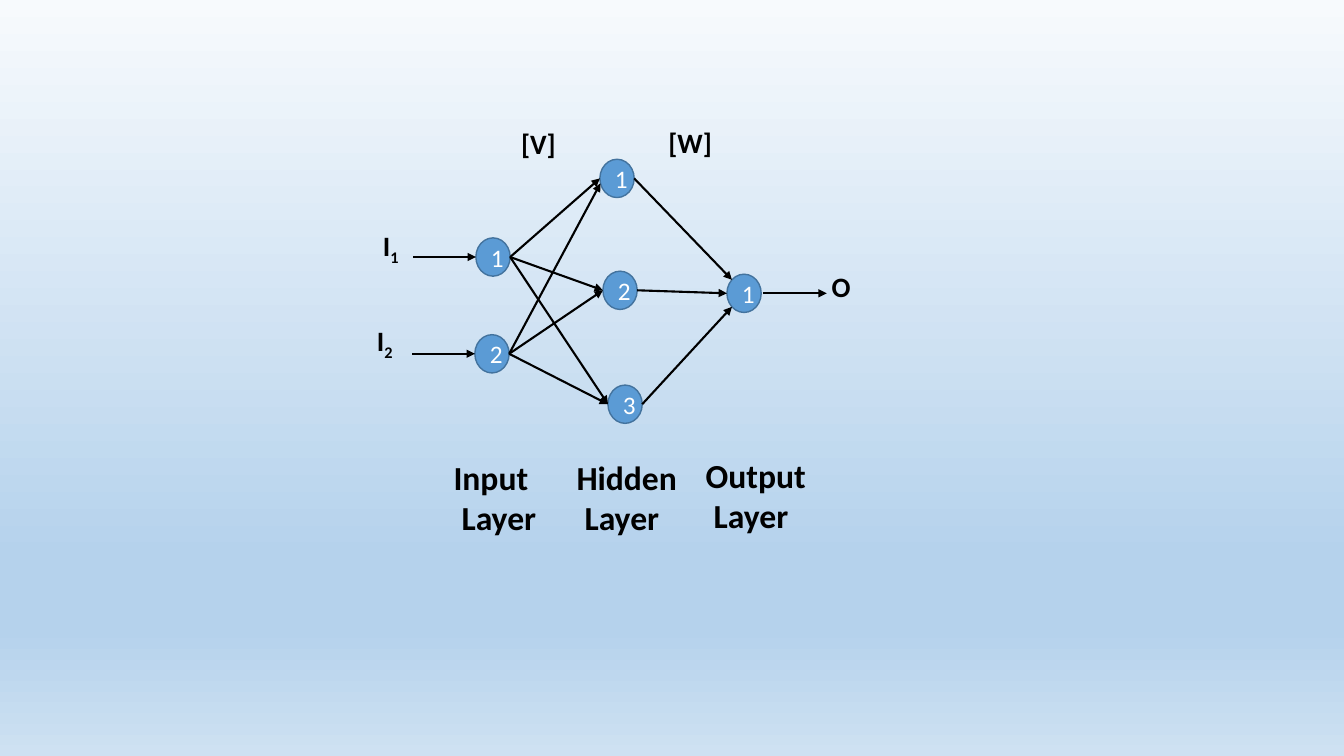
import dataclasses
import math

import lxml.etree
import pptx
import pptx.dml.color
import pptx.enum.shapes
import pptx.enum.text
import pptx.oxml.ns
import pptx.util

qn = pptx.oxml.ns.qn


@dataclasses.dataclass(frozen=True)
class Theme:
    font: str = "Calibri"
    ink: str = "000000"
    node_fill: str = "5B9BD5"
    node_line: str = "43739E"
    node_text: str = "FFFFFF"
    node_size: int = 18
    label_size: int = 20
    caption_size: int = 24
    arrow_width: float = 1.5
    background: tuple = ((0, "F7FAFD"), (74, "B5D2EC"), (83, "B5D2EC"), (100, "CEE1F2"))


def rgb(code):
    return pptx.dml.color.RGBColor.from_string(code)


@dataclasses.dataclass(frozen=True)
class Node:
    """A neuron: its left and top on the grid, and its number."""
    left: float
    top: float
    number: str
    width = 3.4
    height = 3.8

    def edge(self, degrees):
        """Point on the outline, measured clockwise from the right."""
        angle = math.radians(degrees)
        return (self.left + self.width / 2 * (1 + math.cos(angle)),
                self.top + self.height / 2 * (1 + math.sin(angle)))


class Diagram:
    """Draws on a grid of 75 rows, with columns as wide as the rows are high."""

    def __init__(self, presentation, theme):
        self.theme = theme
        self.cell = presentation.slide_height / 75
        self.slide = presentation.slides.add_slide(presentation.slide_layouts[6])
        self.shapes = self.slide.shapes.add_group_shape().shapes

    def grid(self, *lengths):
        return [round(length * self.cell) for length in lengths]

    def background(self):
        fill = self.slide.background.fill
        fill.gradient()
        fill.gradient_angle = 270
        stops = self.slide.element.find(".//" + qn("a:gsLst"))
        for stop in list(stops):
            stops.remove(stop)
        for percent, color in self.theme.background:
            stop = lxml.etree.SubElement(stops, qn("a:gs"), pos=str(percent * 1000))
            lxml.etree.SubElement(stop, qn("a:srgbClr"), val=color)

    def run(self, paragraph, text, size, color, bold=False):
        run = paragraph.add_run()
        run.text = text
        run.font.name = self.theme.font
        run.font.size = pptx.util.Pt(size)
        run.font.bold = bold
        run.font.color.rgb = rgb(color)
        return run

    def node(self, node):
        shape = self.shapes.add_shape(
            pptx.enum.shapes.MSO_SHAPE.OVAL,
            *self.grid(node.left, node.top, node.width, node.height))
        shape.shadow.inherit = False
        shape.fill.solid()
        shape.fill.fore_color.rgb = rgb(self.theme.node_fill)
        shape.line.color.rgb = rgb(self.theme.node_line)
        shape.line.width = pptx.util.Pt(1)
        shape.text_frame.vertical_anchor = pptx.enum.text.MSO_ANCHOR.MIDDLE
        paragraph = shape.text_frame.paragraphs[0]
        paragraph.alignment = pptx.enum.text.PP_ALIGN.CENTER
        self.run(paragraph, node.number, self.theme.node_size, self.theme.node_text)

    def arrow(self, start, end):
        connector = self.shapes.add_connector(
            pptx.enum.shapes.MSO_CONNECTOR.STRAIGHT, *self.grid(*start, *end))
        connector.line.color.rgb = rgb(self.theme.ink)
        connector.line.width = pptx.util.Pt(self.theme.arrow_width)
        properties = connector.element.spPr
        lxml.etree.SubElement(properties.find(qn("a:ln")), qn("a:tailEnd"), type="triangle")
        lxml.etree.SubElement(properties, qn("a:effectLst"))

    def text_frame(self, left, top, width, height):
        frame = self.shapes.add_textbox(*self.grid(left, top, width, height)).text_frame
        frame.word_wrap = True
        frame.auto_size = pptx.enum.text.MSO_AUTO_SIZE.SHAPE_TO_FIT_TEXT
        return frame

    def label(self, left, top, width, text, subscript=""):
        paragraph = self.text_frame(left, top, width, 4.4).paragraphs[0]
        self.run(paragraph, text, self.theme.label_size, self.theme.ink, True)
        if subscript:
            run = self.run(paragraph, subscript, self.theme.label_size, self.theme.ink, True)
            run.font._element.set("baseline", "-25000")

    def caption(self, left, top, width, name):
        """Layer name, with its second line set in a little."""
        frame = self.text_frame(left, top, width, 9.1)
        second = frame.add_paragraph()
        second._p.get_or_add_pPr().set("marL", str(pptx.util.Inches(0.08)))
        for paragraph, text in zip(frame.paragraphs, (name, "Layer")):
            self.run(paragraph, text, self.theme.caption_size, self.theme.ink, True)


def main():
    presentation = pptx.Presentation()
    presentation.slide_width = pptx.util.Inches(13.33)
    presentation.slide_height = pptx.util.Inches(7.5)
    diagram = Diagram(presentation, Theme())
    diagram.background()

    inputs = [Node(47.2, 23.6, "1"), Node(47.1, 33.2, "2")]
    hidden = [Node(59.5, 15.8, "1"), Node(59.8, 26.9, "2"), Node(60.3, 38.2, "3")]
    output = Node(72.1, 27.2, "1")
    for node in (*inputs, *hidden, output):
        diagram.node(node)

    for source in inputs:
        x, y = source.edge(180)
        diagram.arrow((x - 6.2, y), (x, y))
        for target in hidden:
            crosses_up = source is inputs[1] and target is hidden[0]
            diagram.arrow(source.edge(0), target.edge(165 if crosses_up else 180))
    for source, angle in zip(hidden, (225, 180, 135)):
        diagram.arrow(source.edge(0), output.edge(angle))
    x, y = output.edge(0)
    diagram.arrow((x + 0.2, y), (x + 6.5, y))

    for label in ((50.7, 12.1, 7, "[V]"), (65.3, 12, 9.3, "[W]"),
                  (37, 22.2, 7, "I", "1"), (36.4, 31.6, 7, "I", "2"),
                  (81.5, 26.2, 7, "O")):
        diagram.label(*label)
    for caption in ((44, 44.8, 10.7, "Input"), (56.2, 44.8, 12, "Hidden"),
                    (69, 44.6, 12.5, "Output")):
        diagram.caption(*caption)
    presentation.save("out.pptx")


if __name__ == "__main__":
    main()
